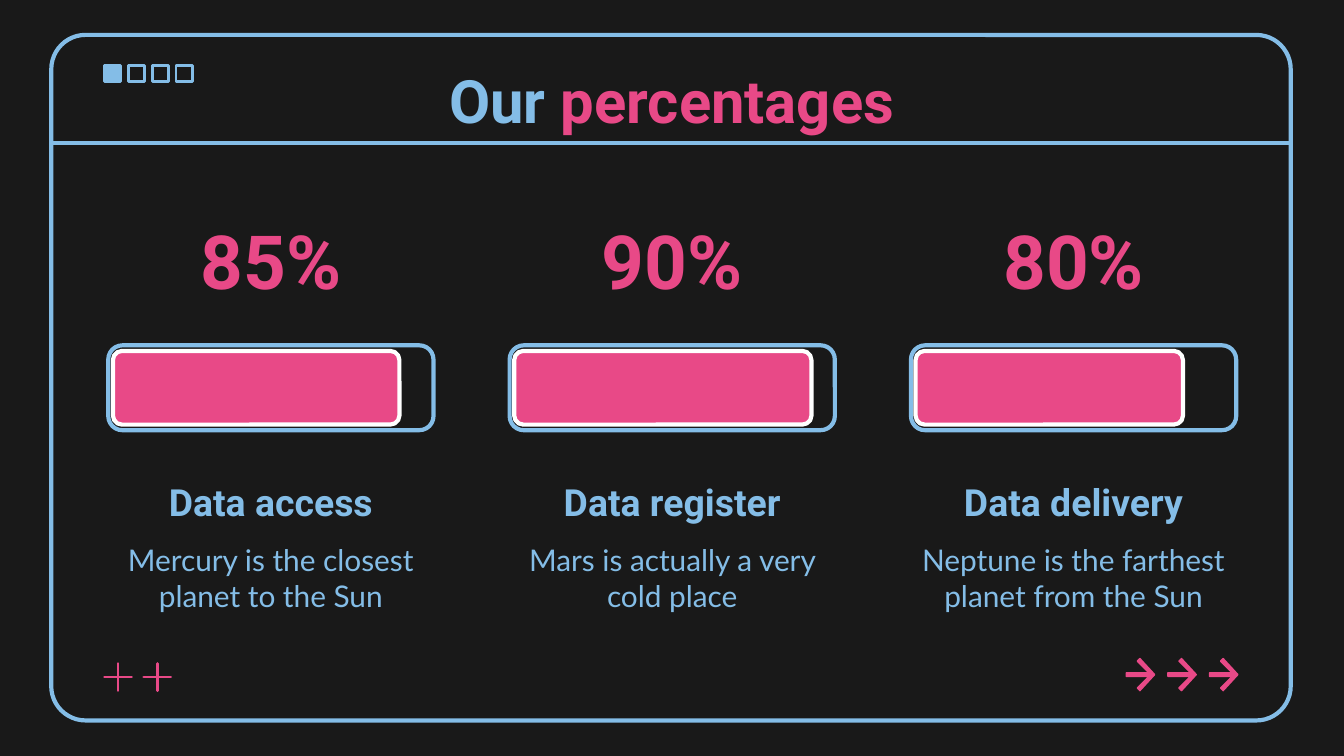
from lxml import etree
from pptx import Presentation
from pptx.dml.color import RGBColor
from pptx.enum.shapes import MSO_CONNECTOR, MSO_SHAPE
from pptx.enum.text import MSO_ANCHOR, MSO_AUTO_SIZE, PP_ALIGN
from pptx.oxml.ns import qn
from pptx.util import Pt

RECT, ROUND, STAR = MSO_SHAPE.RECTANGLE, MSO_SHAPE.ROUNDED_RECTANGLE, MSO_SHAPE.STAR_4_POINT
MIDDLE, BOTTOM = MSO_ANCHOR.MIDDLE, MSO_ANCHOR.BOTTOM
COLORS = {"dark": "191919", "blue": "84BDE7", "pink": "E84987", "white": "FFFFFF"}
RGB = {name: RGBColor.from_string(value) for name, value in COLORS.items()}


def paint(sp, fill, line, weight):
    """Set fill (None for hollow) and outline, and drop the shadow."""
    sp.shadow.inherit = False
    if fill:
        sp.fill.solid()
        sp.fill.fore_color.rgb = RGB[fill]
    else:
        sp.fill.background()
    sp.line.color.rgb = RGB[line]
    sp.line.width = Pt(weight)


def write(sp, runs, size, font, bold, anchor=MIDDLE):
    """Fill a shape with one centred paragraph of (text, colour) runs."""
    tf = sp.text_frame
    tf.word_wrap = True
    tf.auto_size = MSO_AUTO_SIZE.NONE
    tf.vertical_anchor = anchor
    tf.margin_left = tf.margin_right = tf.margin_top = tf.margin_bottom = Pt(7.2)
    p = tf.paragraphs[0]
    p.alignment = PP_ALIGN.CENTER
    for text, color in runs:
        r = p.add_run()
        r.text = text
        r.font.size = Pt(size)
        r.font.name = font
        r.font.bold = bold
        r.font.color.rgb = RGB[color]


prs = Presentation()
prs.slide_width, prs.slide_height = Pt(720), Pt(405)
s = prs.slides.add_slide(prs.slide_layouts[5])
s.background.fill.solid()
s.background.fill.fore_color.rgb = RGB["dark"]
shapes = s.shapes

# Window frame with header line
frame = shapes.add_shape(ROUND, Pt(27.5), Pt(18.75), Pt(664), Pt(367.25))
frame.adjustments[0] = 0.05
paint(frame, None, "blue", 2.25)
rule = shapes.add_connector(MSO_CONNECTOR.STRAIGHT, Pt(27), Pt(76.5), Pt(692.75), Pt(76.5))
rule.line.color.rgb = RGB["blue"]
rule.line.width = Pt(2.25)
etree.SubElement(rule._element.spPr, qn("a:effectLst"))

for i in range(4):
    square = shapes.add_shape(RECT, Pt(56 + 12.75 * i), Pt(35), Pt(8.75), Pt(8.75))
    paint(square, None if i else "blue", "blue", 1.5)

title = shapes.title
title.left, title.top, title.width, title.height = Pt(57), Pt(34.5), Pt(606), Pt(45.25)
write(title, [("Our ", "blue"), ("percentages", "pink")], 32, "Roboto", True, BOTTOM)

# Columns: percentage, bar width, heading, description
columns = [
    ("85%", 153.5, "Data access", "Mercury is the closest planet to the Sun"),
    ("90%", 159.25, "Data register", "Mars is actually a very cold place"),
    ("80%", 143.25, "Data delivery", "Neptune is the farthest planet from the Sun"),
]
for i, (percent, bar_width, heading, description) in enumerate(columns):
    left = 56.25 + 215 * i
    for text, color, top, height, size, font, bold in [
        (percent, "pink", 113, 52.5, 40, "Roboto", True),
        (heading, "blue", 247.75, 41.75, 20, "Roboto", True),
        (description, "blue", 286.75, 45.25, 16, "Lato", False),
    ]:
        box = shapes.add_textbox(Pt(left), Pt(top), Pt(177.75), Pt(height))
        write(box, [(text, color)], size, font, bold)

    track = shapes.add_shape(ROUND, Pt(left + 1.75), Pt(185), Pt(174.25), Pt(45.5))
    track.adjustments[0] = 0.167
    paint(track, None, "blue", 2.25)
    bar = shapes.add_shape(ROUND, Pt(left + 4.25), Pt(188), Pt(bar_width), Pt(39.5))
    bar.adjustments[0] = 0.123
    paint(bar, "pink", "white", 2.25)

# Footer arrows, mirrored about their horizontal axis, and plus signs
upper = [(7.3, -8.6), (5.9, -7.2), (12.1, -1), (0, -1)]
outline = upper + [(x, -y) for x, y in reversed(upper)] + [(15.2, 0)]
for i in range(3):
    points = [(Pt(603.4 + 22.3 * i + x), Pt(361.4 + y)) for x, y in outline]
    builder = shapes.build_freeform(*points[0], scale=1.0)
    builder.add_line_segments(points[1:], close=True)
    paint(builder.convert_to_shape(), "pink", "pink", 0.75)

for i in range(2):
    plus = shapes.add_shape(STAR, Pt(56 + 21 * i), Pt(355.5), Pt(14.5), Pt(14.5))
    plus.adjustments[0] = 0
    paint(plus, "pink", "pink", 1.5)

prs.save("out.pptx")
